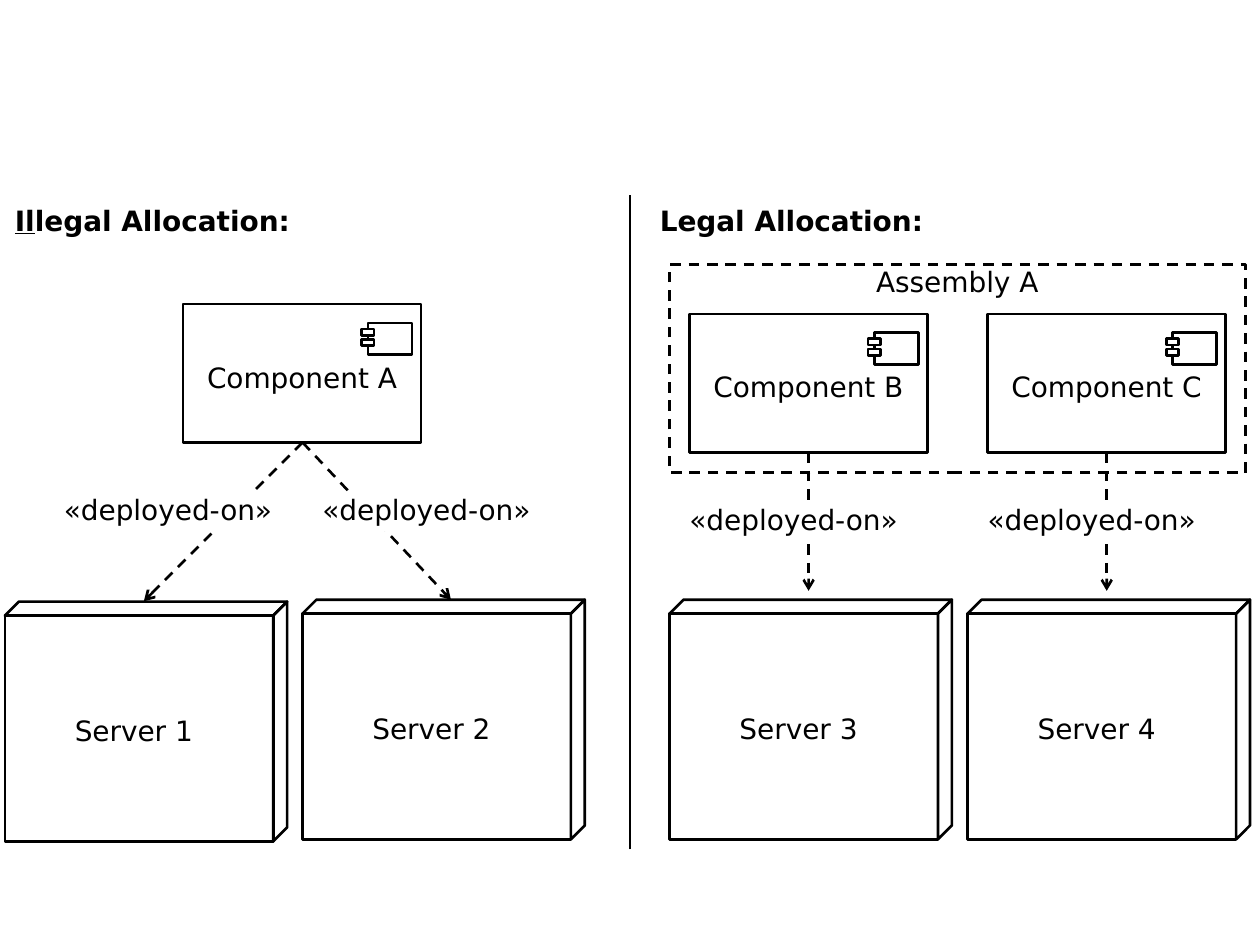
from dataclasses import dataclass

from lxml import etree
from pptx import Presentation
from pptx import util as u
from pptx.dml.color import RGBColor
from pptx.enum import dml, shapes, text
from pptx.oxml.ns import qn


@dataclass
class Theme:
    ink: RGBColor = RGBColor(0, 0, 0)
    paper: RGBColor = RGBColor(255, 255, 255)
    font: str = "DejaVu Sans"
    size: u.Pt = u.Pt(16)
    line: u.Pt = u.Pt(1.5)


theme = Theme()
LEFT, MID = text.PP_ALIGN.LEFT, text.PP_ALIGN.CENTER


def draw(shape, fill=False, dash=False):
    """Give a shape its outline and a white or empty fill."""
    shape.shadow.inherit = False
    if fill:
        shape.fill.solid()
        shape.fill.fore_color.rgb = theme.paper
    else:
        shape.fill.background()
    shape.line.color.rgb = theme.ink
    shape.line.width = theme.line
    if dash:
        shape.line.dash_style = dml.MSO_LINE.DASH


def write(shape, runs, align=MID, pad=0, bold=False):
    """Fill a shape with one line of (words, underline) runs."""
    frame = shape.text_frame
    frame.word_wrap = True
    frame.auto_size = text.MSO_AUTO_SIZE.NONE
    frame.vertical_anchor = text.MSO_ANCHOR.TOP
    frame.margin_left = frame.margin_right = 0
    frame.margin_top = frame.margin_bottom = u.Cm(pad)
    para = frame.paragraphs[0]
    para.alignment = align
    para.space_before = u.Pt(0)
    para.line_spacing = 1.0
    for words, under in runs:
        run = para.add_run()
        run.text = words
        font = run.font
        font.name, font.size, font.bold = theme.font, theme.size, bold
        font.underline = under
        font.color.rgb = theme.ink


deck = Presentation()
deck.slide_width, deck.slide_height = u.Cm(25.4), u.Cm(19.05)
slide = deck.slides.add_slide(deck.slide_layouts.get_by_name("Comparison"))
items = slide.shapes
rect = shapes.MSO_SHAPE.RECTANGLE

# Headings in the two text placeholders of the layout
heads = {
    1: (0.3, [("Il", True), ("legal Allocation:", False)]),
    3: (13.3, [("Legal Allocation:", False)]),
}
for holder in list(slide.placeholders):
    key = holder.placeholder_format.idx
    if key not in heads:
        holder.element.getparent().remove(holder.element)
        continue
    x, runs = heads[key]
    holder.left, holder.top = u.Cm(x), u.Cm(4.11)
    holder.width, holder.height = u.Cm(10), u.Cm(0.79)
    write(holder, runs, LEFT, bold=True)

# Divider and arrows: x and y of both ends, then whether it is an arrow
wide, high = 4.8, 2.79
servers = [(0.1, 12.13), (6.1, 12.09), (13.5, 12.09), (19.51, 12.09)]
parts = [("A", 3.69, 6.13), ("B", 13.9, 6.33), ("C", 19.91, 6.33)]
foot = 6.13 + high
lines = [
    (12.7, 17.12, 12.7, 3.94, False),
    (6.1, foot, 2.9, 12.12, True),
    (6.1, foot, 9.09, 12.09, True),
]
for name, x, y in parts[1:]:
    lines.append((x + wide / 2, y + high, x + wide / 2, 11.91, True))
for x1, y1, x2, y2, arrow in lines:
    link = items.add_connector(
        shapes.MSO_CONNECTOR.STRAIGHT, u.Cm(x1), u.Cm(y1), u.Cm(x2), u.Cm(y2)
    )
    link.line.color.rgb = theme.ink
    link.line.width = theme.line
    if arrow:
        link.line.dash_style = dml.MSO_LINE.DASH
        etree.SubElement(link.line._get_or_add_ln(), qn("a:tailEnd"), type="arrow")
    etree.SubElement(link.element.spPr, qn("a:effectLst"))

# Arrow labels, which cover the middle of each arrow
for x, y in [(1.09, 9.93), (6.3, 9.93), (13.7, 10.13), (19.71, 10.13)]:
    label = items.add_textbox(u.Cm(x), u.Cm(y), u.Cm(4.6), u.Cm(0.79))
    label.fill.solid()
    label.fill.fore_color.rgb = theme.paper
    write(label, [("«deployed-on»", False)])

# Servers: front, top and side face of a box
face_w, face_h, deep = 5.41, 4.55, 0.28
for count, (x, y) in enumerate(servers, 1):
    right, front = x + face_w, y + deep
    base = front + face_h
    faces = [
        [(x, front), (right, front), (right, base), (x, base)],
        [(x, front), (x + deep, y), (right + deep, y), (right, front)],
        [(right, front), (right + deep, y), (right + deep, base - deep), (right, base)],
    ]
    path = None
    for face in faces:
        start, *rest = [(u.Cm(a), u.Cm(b)) for a, b in face]
        if path is None:
            path = items.build_freeform(*start)
        else:
            path.move_to(*start)
        path.add_line_segments(rest, close=True)
    draw(path.convert_to_shape(), fill=True)
    label = items.add_textbox(u.Cm(x + 0.2), u.Cm(y + 2.13), u.Cm(wide), u.Cm(0.94))
    write(label, [(f"Server {count}", False)], pad=0.13)

# Components: frame, then icon body and its two lugs
boxes = [
    (0, 0, wide, high),
    (3.73, 0.38, 0.89, 0.64),
    (3.6, 0.5, 0.25, 0.13),
    (3.6, 0.71, 0.25, 0.13),
]
for name, x, y in parts:
    for dx, dy, w, h in boxes:
        box = items.add_shape(rect, u.Cm(x + dx), u.Cm(y + dy), u.Cm(w), u.Cm(h))
        draw(box, fill=True)
    label = items.add_textbox(u.Cm(x), u.Cm(y + 1), u.Cm(wide), u.Cm(0.94))
    write(label, [(f"Component {name}", False)], pad=0.13)

# Assembly around components B and C
group = items.add_shape(rect, u.Cm(13.5), u.Cm(5.33), u.Cm(11.61), u.Cm(4.2))
draw(group, dash=True)
label = items.add_textbox(u.Cm(14.1), u.Cm(5.33), u.Cm(10.4), u.Cm(0.79))
write(label, [("Assembly A", False)])

deck.save("out.pptx")
